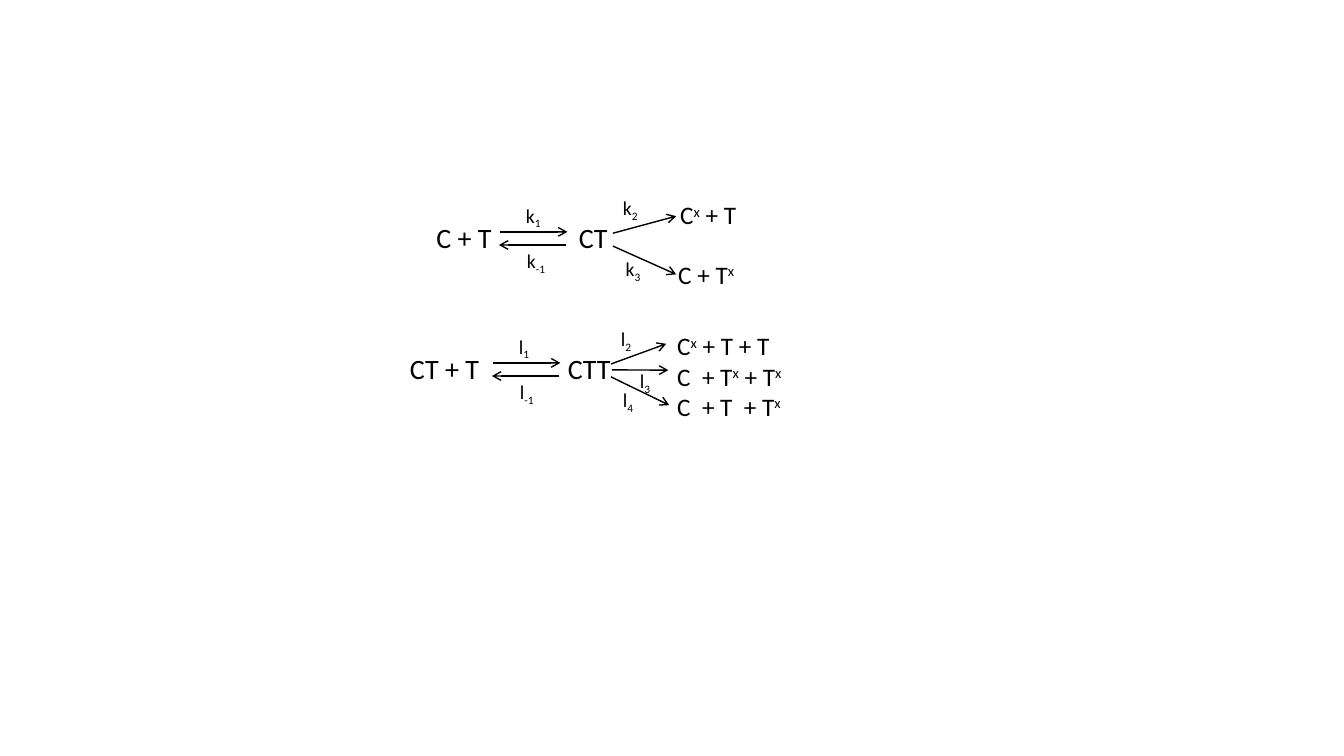
from pptx import Presentation
from pptx.util import Pt
from pptx.dml.color import RGBColor
from pptx.enum.shapes import MSO_CONNECTOR
from pptx.enum.text import MSO_AUTO_SIZE
from lxml.etree import SubElement
from pptx.oxml.ns import qn

COLORS = {"ink": "000000", "paper": "FFFFFF"}
FONT = "Calibri"
SUP, SUB = 30, -25
X = ("x", SUP)
WIDE = (" ", 0, 4.07)


def add_run(p, size, text, baseline=0, spacing=0):
    r = p.add_run()
    r.text = text
    r.font.name = FONT
    r.font.size = Pt(size)
    r.font.color.rgb = RGBColor.from_string(COLORS["ink"])
    rPr = r._r.get_or_add_rPr()
    if baseline:
        rPr.set("baseline", str(baseline * 1000))
    if spacing:
        rPr.set("spc", str(round(spacing * 100)))


def add_text(g, box, size, lines, tab=None):
    sp = g.shapes.add_textbox(*map(Pt, box))
    tf = sp.text_frame
    tf.word_wrap = tab is not None
    tf.auto_size = MSO_AUTO_SIZE.SHAPE_TO_FIT_TEXT
    for i, runs in enumerate(lines):
        p = tf.add_paragraph() if i else tf.paragraphs[0]
        if tab:
            tabs = SubElement(p._p.get_or_add_pPr(), qn("a:tabLst"))
            SubElement(tabs, qn("a:tab"), pos=str(Pt(tab)), algn="l")
        for run in runs:
            add_run(p, size, *run)


def add_arrow(g, x1, y1, x2, y2):
    c = g.shapes.add_connector(MSO_CONNECTOR.STRAIGHT, *map(Pt, (x1, y1, x2, y2)))
    c.line.color.rgb = RGBColor.from_string(COLORS["ink"])
    c.line.width = Pt(1)
    SubElement(c.line._get_or_add_ln(), qn("a:tailEnd"), type="arrow")
    SubElement(c._element.spPr, qn("a:effectLst"))


def add_rate(g, letter, index, x, y):
    width = {"k": 26, "l": 22.5}[letter] + 2.5 * (len(index) - 1)
    add_text(g, (x, y, width, 24.5), 14, [[(letter, 0), (index, SUB)]])


def add_equilibrium(g, letter, x, y):
    add_arrow(g, x, y, x + 48.2, y)
    add_arrow(g, x + 47.5, y + 9.4, x - 0.7, y + 9.4)
    add_rate(g, letter, "1", x + 11.5, y - 23.8)
    add_rate(g, letter, "-1", x + 12.2, y + 8.4)


def add_reaction(s, letter, species, box, tab, start, arrows, rates, products):
    g = s.shapes.add_group_shape()
    add_text(g, box, 20, [[(species, 0)]], tab)
    add_equilibrium(g, letter, *start)
    for ends in arrows:
        add_arrow(g, *ends)
    for product_box, lines in products:
        add_text(g, product_box, 18, lines)
    for index, x, y in rates:
        add_rate(g, letter, index, x, y)


def main():
    prs = Presentation()
    prs.slide_width, prs.slide_height = Pt(960), Pt(540)
    s = prs.slides.add_slide(prs.slide_layouts[6])
    s.background.fill.solid()
    s.background.fill.fore_color.rgb = RGBColor.from_string(COLORS["paper"])

    add_reaction(
        s, "k", "C + T\tCT", (304.6, 154, 147.6, 31.5), 101.8, (357.1, 165.6),
        arrows=[(437.8, 166.6, 483, 154.4), (437.8, 175.8, 483, 196)],
        rates=[("2", 437.8, 136.2), ("3", 439.8, 180)],
        products=[
            ((478.8, 139, 56.2, 29), [[("C", 0), X, (" + T", 0)]]),
            ((477.4, 181.6, 54.7, 29), [[("C + T", 0), X]]),
        ])
    add_reaction(
        s, "l", "CT + T\tCTT", (285.8, 247.7, 167.8, 31.5), 112.7, (352.1, 259.2),
        arrows=[(436.4, 260, 475.9, 245.6), (437, 264.2, 477.4, 264.4),
                (436.4, 269.2, 478, 289.4)],
        rates=[("2", 436.4, 229.8), ("3", 450, 260), ("4", 437.8, 273.6)],
        products=[
            ((476.6, 232.7, 90, 87.1), [
                [("C", 0), X, (" + T + T", 0)],
                [("C", 0), WIDE, ("+ T", 0), X, (" + T", 0), X],
                [("C", 0), WIDE, ("+ T", 0), WIDE, ("+ T", 0), X],
            ]),
        ])
    prs.save("out.pptx")


main()
